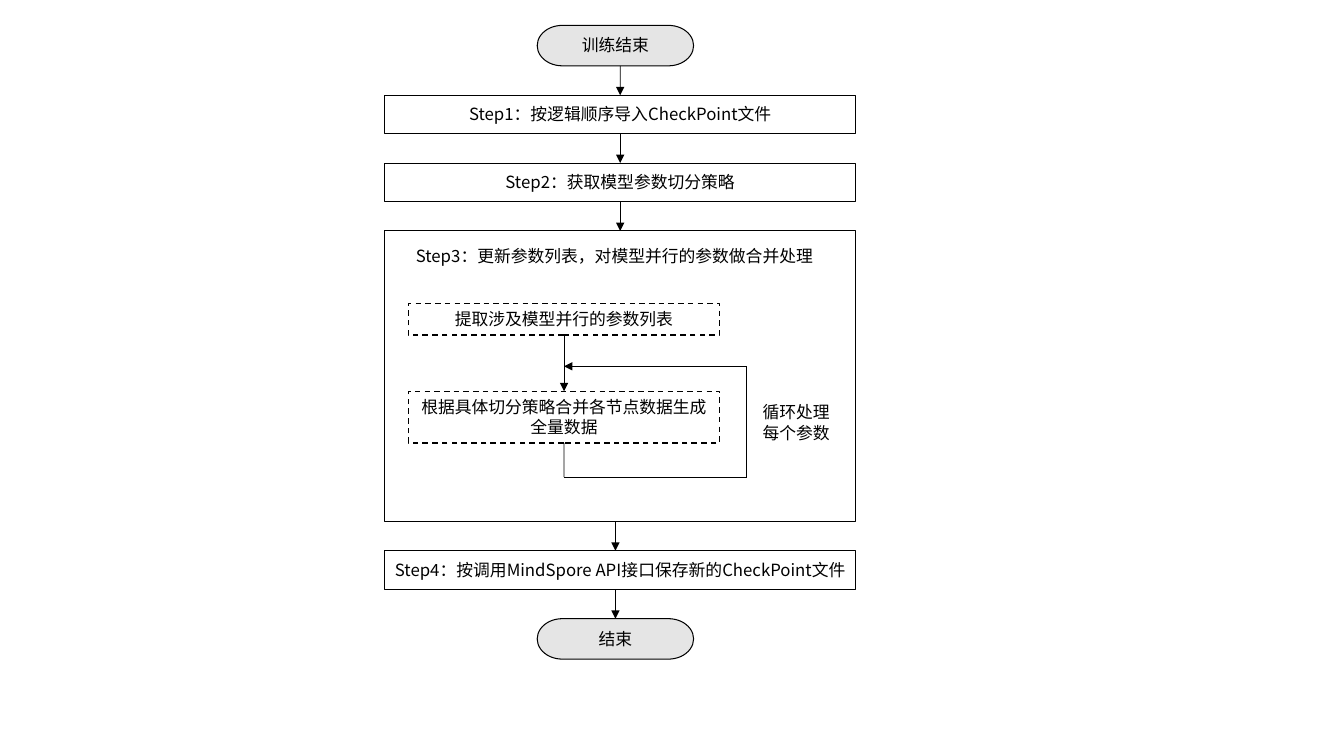
from itertools import pairwise

from lxml.etree import SubElement
from pptx import Presentation
from pptx.dml.color import RGBColor
from pptx.enum.dml import MSO_LINE
from pptx.enum.shapes import MSO_CONNECTOR, MSO_SHAPE
from pptx.enum.text import MSO_ANCHOR, PP_ALIGN
from pptx.oxml.ns import qn
from pptx.util import Cm, Pt

COLORS = {"ink": "000000", "terminal": "E5E5E5"}
CJK_FONT, LATIN_FONT = "Noto Sans CJK SC", "Arial"
TOP, BOTTOM = 0, 2  # connection sites

# Flow geometry in cm
FLOW_TOP, GAP = 0.64, 0.74
STEP_LEFT, STEP_WIDTH, STEP_HEIGHT = 9.7, 11.86, 0.97
TERMINAL_LEFT, TERMINAL_WIDTH, TERMINAL_HEIGHT = 13.54, 3.94, 1.02
MERGE_HEIGHT = 7.32


def write(frame, text, font, align):
    frame.text = text
    paragraph = frame.paragraphs[0]
    paragraph.alignment = align
    paragraph.font.name = font
    paragraph.font.size = Pt(12)
    paragraph.font.color.rgb = RGBColor.from_string(COLORS["ink"])
    return paragraph


def add_box(slide, kind, box, text="", fill=None, dashed=False):
    shape = slide.shapes.add_shape(kind, *map(Cm, box))
    shape.shadow.inherit = False
    if fill:
        shape.fill.solid()
        shape.fill.fore_color.rgb = RGBColor.from_string(fill)
    else:
        shape.fill.background()
    shape.line.color.rgb = RGBColor.from_string(COLORS["ink"])
    shape.line.width = Pt(1 if dashed else 0.75)
    if dashed:
        shape.line.dash_style = MSO_LINE.DASH
    if text:
        frame = shape.text_frame
        frame.vertical_anchor = MSO_ANCHOR.MIDDLE
        frame.word_wrap = dashed
        paragraph = write(frame, text, LATIN_FONT if dashed else CJK_FONT, PP_ALIGN.CENTER)
        if not dashed:
            frame.margin_top = Cm(0.15)
            paragraph.line_spacing = 0.93
    return shape


def add_label(slide, box, text, font):
    label = slide.shapes.add_textbox(*map(Cm, box))
    label.text_frame.word_wrap = True
    write(label.text_frame, text, font, PP_ALIGN.LEFT)


def add_link(slide, start, end, source=None, target=None, arrow=True):
    link = slide.shapes.add_connector(MSO_CONNECTOR.STRAIGHT, *map(Cm, (*start, *end)))
    link.line.color.rgb = RGBColor.from_string(COLORS["ink"])
    link.line.width = Pt(0.5)
    if arrow:
        SubElement(link.line._get_or_add_ln(), qn("a:tailEnd"), type="triangle")
    SubElement(link._element.spPr, qn("a:effectLst"))
    if source is not None:
        link.begin_connect(source, BOTTOM)
    if target is not None:
        link.end_connect(target, TOP)


def add_terminal(slide, top, text):
    box = (TERMINAL_LEFT, top, TERMINAL_WIDTH, TERMINAL_HEIGHT)
    return add_box(slide, MSO_SHAPE.FLOWCHART_TERMINATOR, box, text, COLORS["terminal"])


def add_step(slide, top, text):
    box = (STEP_LEFT, top, STEP_WIDTH, STEP_HEIGHT)
    return add_box(slide, MSO_SHAPE.FLOWCHART_PROCESS, box, text)


def add_merge_step(slide, top, text):
    """Step 3: the frame with its inner loop over the parameters."""
    left = STEP_LEFT
    frame = add_box(slide, MSO_SHAPE.FLOWCHART_PROCESS, (left, top, STEP_WIDTH, MERGE_HEIGHT))
    add_label(slide, (left + 0.53, top + 0.25, 10.57, 1.27), text, CJK_FONT)

    # Inner operations
    inner_left, inner_width = left + 0.59, 7.85
    extract_top, extract_height = top + 1.83, 0.79
    merge_top, merge_height = top + 4.04, 1.3
    extract = add_box(slide, MSO_SHAPE.RECTANGLE,
                      (inner_left, extract_top, inner_width, extract_height),
                      "提取涉及模型并行的参数列表", dashed=True)
    merge = add_box(slide, MSO_SHAPE.RECTANGLE,
                    (inner_left, merge_top, inner_width, merge_height),
                    "根据具体切分策略合并各节点数据生成全量数据", dashed=True)
    axis = inner_left + inner_width / 2
    add_link(slide, (axis, extract_top + extract_height), (axis, merge_top), extract, merge)

    # Loop back above the merge operation
    loop_right, loop_top, loop_bottom = left + 9.12, top + 3.41, top + 6.2
    corners = [(axis, merge_top + merge_height), (axis, loop_bottom),
               (loop_right, loop_bottom), (loop_right, loop_top), (axis, loop_top)]
    for start, end in pairwise(corners):
        add_link(slide, start, end, source=merge if start == corners[0] else None,
                 arrow=end == corners[-1])
    add_label(slide, (left + 9.27, top + 4.19, 2.49, 1.27), "循环处理每个参数", LATIN_FONT)
    return frame


def add_flow(slide):
    stages = [
        (add_terminal, TERMINAL_HEIGHT, "训练结束"),
        (add_step, STEP_HEIGHT, "Step1：按逻辑顺序导入CheckPoint文件"),
        (add_step, STEP_HEIGHT, "Step2：获取模型参数切分策略"),
        (add_merge_step, MERGE_HEIGHT, "Step3：更新参数列表，对模型并行的参数做合并处理"),
        (add_step, STEP_HEIGHT, "Step4：按调用MindSpore API接口保存新的CheckPoint文件"),
        (add_terminal, TERMINAL_HEIGHT, "结束"),
    ]
    placed, top = [], FLOW_TOP
    for add_stage, height, text in stages:
        placed.append((add_stage(slide, top, text), top, top + height))
        top += height + GAP

    # Arrows: the upper three follow the step axis, the lower two the terminal axis
    step_axis = STEP_LEFT + STEP_WIDTH / 2
    terminal_axis = TERMINAL_LEFT + TERMINAL_WIDTH / 2
    axes = [step_axis] * 3 + [terminal_axis] * 2
    stage_axes = [terminal_axis] + [step_axis] * 4 + [terminal_axis]
    for i, ((source, _, start), (target, end, _)) in enumerate(pairwise(placed)):
        axis = axes[i]
        add_link(slide, (axis, start), (axis, end),
                 source if stage_axes[i] == axis else None,
                 target if stage_axes[i + 1] == axis else None)


def main():
    presentation = Presentation()
    presentation.slide_width, presentation.slide_height = Cm(33.87), Cm(19.05)
    add_flow(presentation.slides.add_slide(presentation.slide_layouts[6]))
    presentation.save("out.pptx")


if __name__ == "__main__":
    main()
